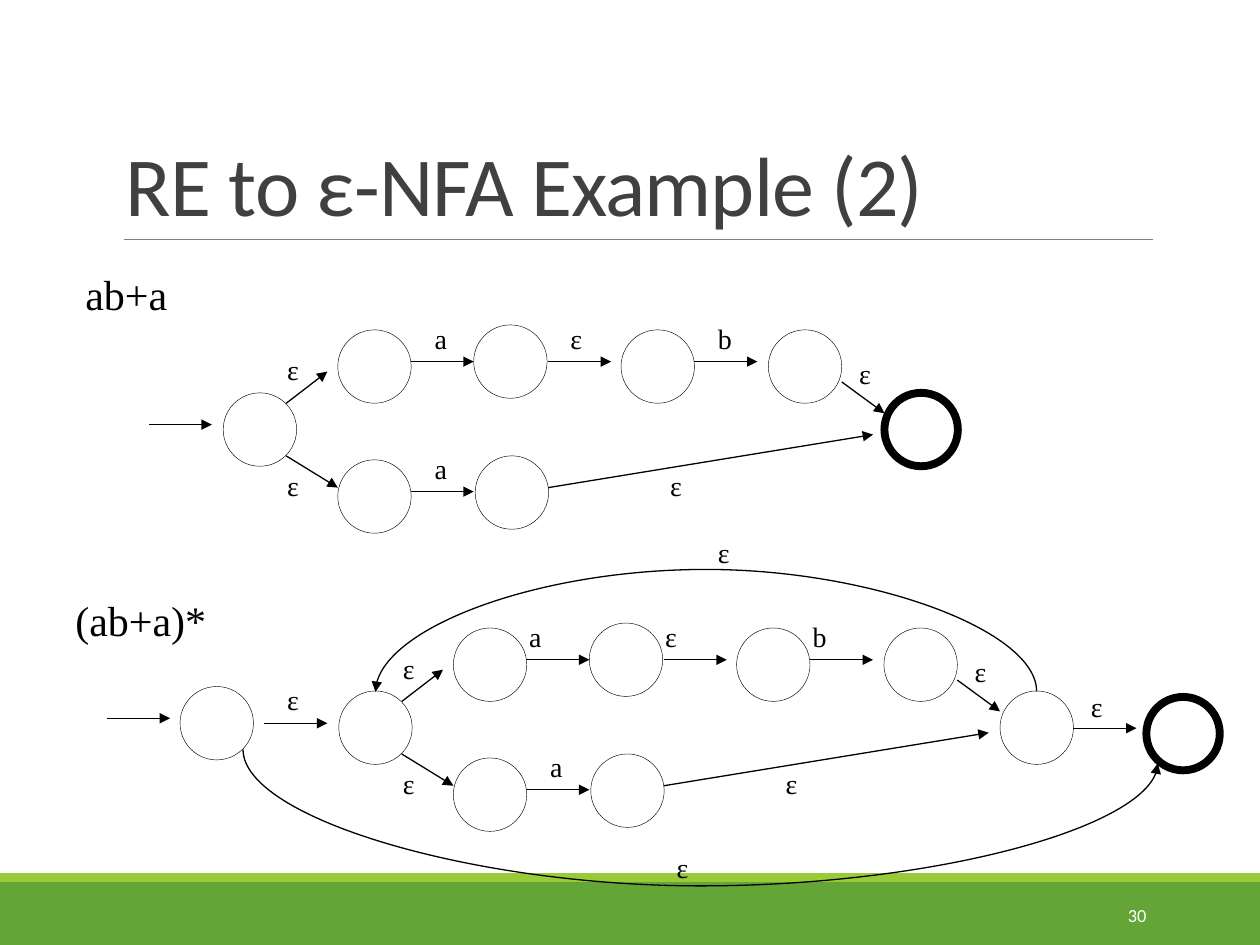
from dataclasses import dataclass

from lxml.etree import SubElement
from pptx import Presentation
from pptx.dml.color import RGBColor
from pptx.enum.shapes import MSO_CONNECTOR as Link, MSO_SHAPE as Shape
from pptx.enum.text import MSO_ANCHOR as Anchor, MSO_AUTO_SIZE as AutoSize, PP_ALIGN as Align
from pptx.oxml.ns import qn
from pptx.util import Cm, Pt


@dataclass(frozen=True)
class Theme:
    ink: str = "000000"
    title: str = "404040"
    rule: str = "808080"
    band: str = "63A537"
    stripe: str = "99CB38"
    light: str = "FFFFFF"
    heading_font: str = "Calibri"
    diagram_font: str = "Times New Roman"
    title_size: float = 48
    regex_size: float = 24
    label_size: float = 16
    number_size: float = 10.5
    arrow_width: float = 0.75
    state_width: float = 0.25
    accept_width: float = 4.5


STATE_SIZE = 1.48
STEP = 1.27  # length of a horizontal arrow


class Painter:
    def __init__(self, slide, theme):
        self.shapes = slide.shapes
        self.theme = theme

    def text(self, text, x, y, w, h, size, color, font):
        sp = self.shapes.add_textbox(Cm(x), Cm(y), Cm(w), Cm(h))
        tf = sp.text_frame
        tf.text = text
        tf.word_wrap = True
        f = tf.paragraphs[0].runs[0].font
        f.name, f.size = font, Pt(size)
        f.color.rgb = RGBColor.from_string(color)
        return tf

    def diagram_text(self, text, x, y, w, h, size):
        t = self.theme
        tf = self.text(text, x, y, w, h, size, t.ink, t.diagram_font)
        tf.word_wrap = False
        tf.auto_size = AutoSize.SHAPE_TO_FIT_TEXT

    def label(self, text, x, y):
        self.diagram_text(text, x, y, 0.76, 0.94, self.theme.label_size)

    def regex(self, text, x, y, w):
        self.diagram_text(text, x, y, w, 1.27, self.theme.regex_size)

    def title(self, text):
        t = self.theme
        tf = self.text(text, 2.29, 0.79, 20.96, 4.04, t.title_size, t.title, t.heading_font)
        tf.vertical_anchor = Anchor.BOTTOM
        p = tf.paragraphs[0]
        p.line_spacing = 0.85
        p.runs[0].font._element.set("spc", "-50")

    def page_number(self, text):
        t = self.theme
        tf = self.text(text, 20.62, 17.93, 2.74, 1.02, t.number_size, t.light, t.heading_font)
        tf.vertical_anchor = Anchor.MIDDLE
        tf.paragraphs[0].alignment = Align.RIGHT

    def bar(self, y, h, color):
        sp = self.shapes.add_shape(Shape.RECTANGLE, 0, Cm(y), Cm(25.4), Cm(h))
        sp.shadow.inherit = False
        sp.fill.solid()
        sp.fill.fore_color.rgb = RGBColor.from_string(color)
        sp.line.fill.background()

    def state(self, x, y, accepting=False):
        t = self.theme
        sp = self.shapes.add_shape(Shape.OVAL, Cm(x), Cm(y), Cm(STATE_SIZE), Cm(STATE_SIZE))
        sp.shadow.inherit = False
        sp.fill.background()
        sp.line.color.rgb = RGBColor.from_string(t.ink)
        sp.line.width = Pt(t.accept_width if accepting else t.state_width)

    def line(self, x1, y1, x2, y2, color, width, kind=Link.STRAIGHT):
        c = self.shapes.add_connector(kind, Cm(x1), Cm(y1), Cm(x2), Cm(y2))
        c.line.color.rgb = RGBColor.from_string(color)
        c.line.width = Pt(width)
        SubElement(c._element.spPr, qn("a:effectLst"))
        return c

    def arrow(self, x1, y1, x2, y2, kind=Link.STRAIGHT):
        t = self.theme
        c = self.line(x1, y1, x2, y2, t.ink, t.arrow_width, kind)
        SubElement(c.line._get_or_add_ln(), qn("a:tailEnd"), type="triangle")
        return c

    def step(self, x, y):
        self.arrow(x, y, x + STEP, y)

    def arc(self, x1, y1, x2, y2, bow):
        """Arrow that bulges to height bow: a curved connector turned by 270 degrees."""
        cx, cy = (x1 + x2) / 2, (y1 + y2) / 2
        c = self.arrow(cx + cy - y1, cy + x1 - cx, cx + cy - y2, cy + x2 - cx, Link.CURVE)
        spPr = c._element.spPr
        spPr.find(qn("a:xfrm")).set("rot", str(270 * 60000))
        bend = round((bow - y1) / (y2 - y1) * 100000)
        guides = spPr.find(qn("a:prstGeom")).find(qn("a:avLst"))
        SubElement(guides, qn("a:gd"), name="adj1", fmla=f"val {bend}")

    def union_automaton(self, dx=0, dy=0, label_shift=0, accepting=True):
        """The automaton of ab+a, moved by dx and dy."""
        for x, y in [(6.81, 6.65), (9.55, 6.55), (12.52, 6.65), (15.49, 6.65),
                     (6.81, 9.27), (9.58, 9.19), (4.5, 7.92)]:
            self.state(x + dx, y + dy)
        self.state(17.83 + dx, 7.92 + dy, accepting)
        for x, y in [(8.28, 7.29), (11.05, 7.29), (14, 7.29), (8.28, 9.91)]:
            self.step(x + dx, y + dy)
        for x1, y1, x2, y2 in [(5.77, 8.13, 6.6, 7.49), (5.77, 9.19, 6.81, 9.83),
                               (16.97, 7.7, 17.83, 8.33), (11.05, 9.83, 17.6, 8.76)]:
            self.arrow(x1 + dx, y1 + dy, x2 + dx, y2 + dy)
        for text, x in [("a", 8.51), ("ε", 11.25), ("b", 14.22)]:
            self.label(text, x + dx + label_shift, 6.35 + dy)
        for text, x, y in [("a", 8.51, 8.97), ("ε", 5.54, 6.99), ("ε", 5.54, 9.32),
                           ("ε", 17.07, 7.06), ("ε", 13.26, 9.32)]:
            self.label(text, x + dx, y + dy)


def main():
    prs = Presentation()
    prs.slide_width, prs.slide_height = Cm(25.4), Cm(19.05)
    theme = Theme()
    s = Painter(prs.slides.add_slide(prs.slide_layouts[6]), theme)

    s.bar(17.78, 1.27, theme.band)
    s.bar(17.6, 0.18, theme.stripe)
    s.line(2.49, 4.83, 23.24, 4.83, theme.rule, 0.5)
    s.title("RE to ε-NFA Example (2)")

    s.regex("ab+a", 1.47, 5.28, 2.16)
    s.step(3, 8.56)
    s.union_automaton()

    s.regex("(ab+a)*", 1.27, 11.86, 3.15)
    s.union_automaton(dx=2.33, dy=6.01, label_shift=-0.42, accepting=False)
    s.state(3.63, 13.84)
    s.state(23.11, 14.05, accepting=True)
    for x, y in [(2.16, 14.48), (5.33, 14.58), (21.64, 14.68)]:
        s.step(x, y)
    s.arc(20.9, 13.94, 7.57, 13.95, bow=11.48)
    s.arc(4.9, 15.11, 23.34, 15.39, bow=17.86)
    for x, y in [(21.74, 13.77), (5.54, 13.64), (14.22, 10.67), (13.39, 17.02)]:
        s.label("ε", x, y)

    s.page_number("30")
    prs.save("out.pptx")


if __name__ == "__main__":
    main()
